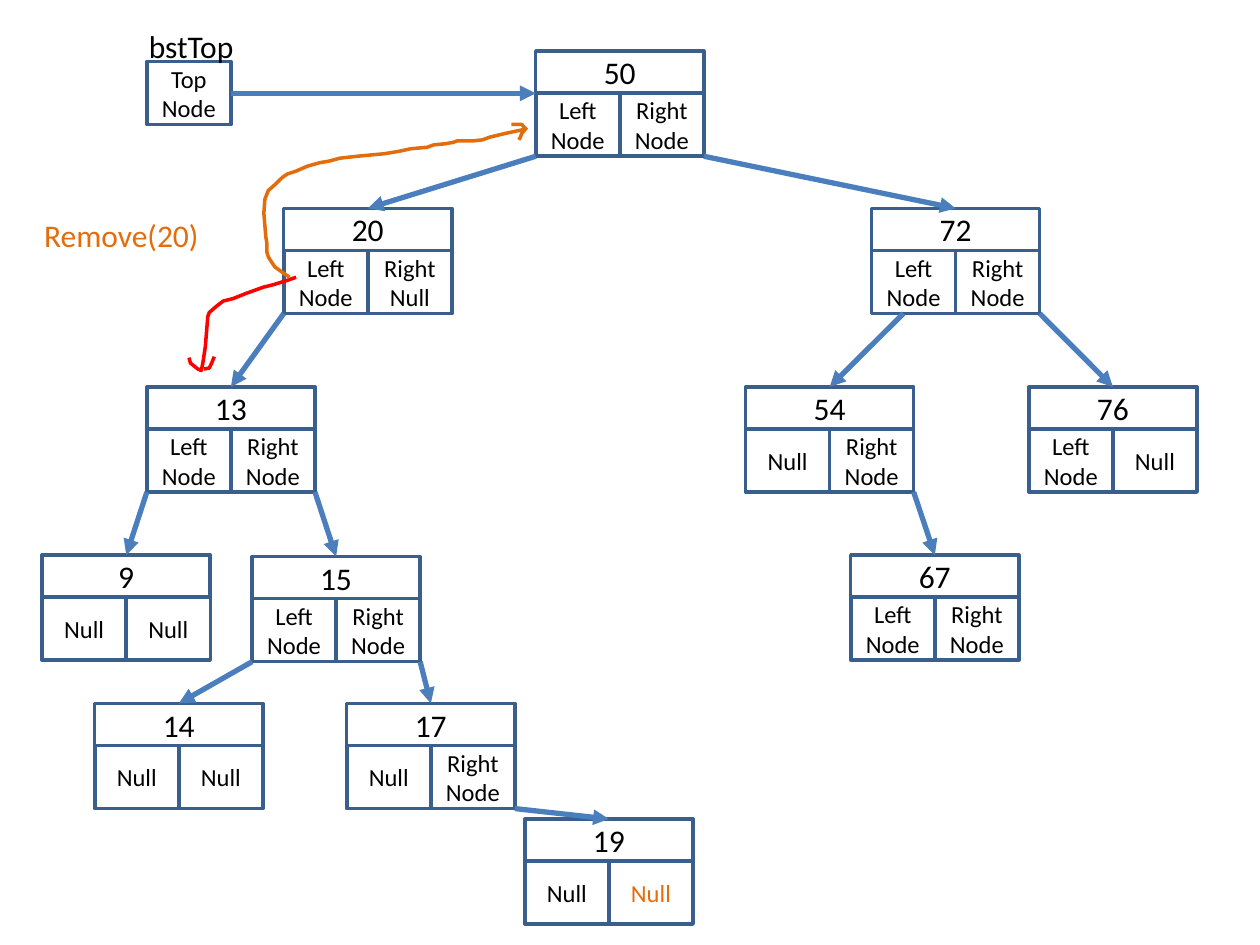
from dataclasses import dataclass

from lxml.etree import SubElement
from pptx import Presentation
from pptx.dml.color import RGBColor
from pptx.enum.shapes import MSO_CONNECTOR, MSO_SHAPE
from pptx.enum.text import MSO_ANCHOR, MSO_AUTO_SIZE, PP_ALIGN
from pptx.oxml.ns import qn
from pptx.util import Cm, Pt

Point = tuple[float, float]


@dataclass(frozen=True)
class Theme:
    """Colours, type and line widths."""
    font: str = "Calibri"
    big: int = 18
    small: int = 14
    ink: str = "000000"
    paper: str = "FFFFFF"
    edge: str = "3A5F8C"
    arrow: str = "4B7EBC"
    orange: str = "E46C0A"
    red: str = "FF0000"
    thin: int = 2
    thick: int = 3


THEME = Theme()
WIDE, HEAD, CELL = 3.39, 0.85, 1.27
HALF = WIDE / 2


@dataclass(frozen=True)
class Node:
    """A tree node: a key above two child cells."""
    key: str
    x: float
    y: float
    left: str = "Left Node"
    right: str = "Right Node"
    tint: str = THEME.ink


@dataclass(frozen=True)
class Link:
    """An arrow from a node's lower corner to a child's top."""
    start: str
    end: str
    shift: float = 0


@dataclass(frozen=True)
class Stroke:
    """A hand-drawn line."""
    color: str
    points: list[Point]


NODES = [
    Node("50", 10.8, 1.03),
    Node("20", 5.72, 4.2, right="Right Null"),
    Node("72", 17.57, 4.2),
    Node("13", 2.96, 7.8),
    Node("54", 15.03, 7.8, left="Null"),
    Node("76", 20.74, 7.8, right="Null"),
    Node("17", 6.99, 14.18, "Null", "Right\nNode"),
    Node("67", 17.15, 11.19),
    Node("9", 0.85, 11.19, "Null", "Null"),
    Node("14", 1.91, 14.18, "Null", "Null"),
    Node("15", 5.08, 11.22, "Left\nNode", "Right\nNode"),
    Node("19", 10.58, 16.51, "Null", "Null", THEME.orange),
]
LINKS = [
    Link("50", "20"), Link("50", "72"), Link("72", "76"), Link("20", "13"),
    Link("72", "54", 0.64), Link("54", "67"), Link("13", "9"),
    Link("15", "17"), Link("15", "14"), Link("17", "19"), Link("13", "15"),
]
STROKES = [
    Stroke(THEME.red, [
        (5.97, 5.59), (5.77, 5.66), (5.51, 5.74), (5.31, 5.79), (4.95, 5.92),
        (4.7, 6.02), (4.5, 6.07), (4.37, 6.17), (4.22, 6.3), (4.19, 6.38),
        (4.14, 6.99), (4.09, 7.32), (4.06, 7.47), (3.99, 7.44), (3.84, 7.32),
        (3.81, 7.21)]),
    Stroke(THEME.red, [(4.11, 7.44), (4.22, 7.42), (4.27, 7.32), (4.32, 7.19)]),
    Stroke(THEME.orange, [
        (5.84, 5.59), (5.72, 5.51), (5.54, 5.38), (5.46, 5.26), (5.41, 5.18),
        (5.38, 5.08), (5.38, 4.9), (5.36, 4.78), (5.32, 4.3), (5.34, 4.02),
        (5.41, 3.84), (5.56, 3.71), (5.69, 3.58), (5.79, 3.51), (5.97, 3.45),
        (6.2, 3.35), (6.45, 3.28), (6.63, 3.25), (6.85, 3.19), (7.21, 3.15),
        (7.75, 3.1), (8.05, 3.05), (8.28, 3), (8.61, 2.97), (8.75, 2.92),
        (8.97, 2.9), (9.14, 2.87), (9.22, 2.84), (9.55, 2.84), (9.73, 2.82),
        (9.86, 2.77), (9.98, 2.74), (10.19, 2.69), (10.52, 2.62),
        (10.59, 2.59), (10.52, 2.51), (10.31, 2.51)]),
    Stroke(THEME.orange, [
        (10.62, 2.57), (10.52, 2.69), (10.49, 2.77), (10.46, 2.82)]),
]


def style(frame, size: int, tint: str, align=PP_ALIGN.CENTER) -> None:
    """Set the type of every paragraph in a frame."""
    for para in frame.paragraphs:
        para.alignment = align
        para.font.name = THEME.font
        para.font.size = Pt(size)
        para.font.color.rgb = RGBColor.from_string(tint)


def ink(line, color: str, width: int) -> None:
    """Set the colour and width of a line."""
    line.color.rgb = RGBColor.from_string(color)
    line.width = Pt(width)


def box(shapes, text: str, x: float, y: float, wide: float, high: float,
        size: int = THEME.small, tint: str = THEME.ink, solid: bool = True) -> None:
    """Draw an outlined box with centred text."""
    shape = shapes.add_shape(MSO_SHAPE.RECTANGLE, Cm(x), Cm(y), Cm(wide), Cm(high))
    shape.shadow.inherit = False
    if solid:
        shape.fill.solid()
        shape.fill.fore_color.rgb = RGBColor.from_string(THEME.paper)
    else:
        shape.fill.background()
    ink(shape.line, THEME.edge, THEME.thin)
    frame = shape.text_frame
    frame.text = text
    frame.word_wrap = True
    frame.vertical_anchor = MSO_ANCHOR.MIDDLE
    style(frame, size, tint)


def label(shapes, text: str, x: float, y: float, wide: float, tint: str) -> None:
    """Write a line of free text."""
    frame = shapes.add_textbox(Cm(x), Cm(y), Cm(wide), Cm(1.03)).text_frame
    frame.text = text
    frame.word_wrap = False
    frame.auto_size = MSO_AUTO_SIZE.SHAPE_TO_FIT_TEXT
    style(frame, THEME.big, tint, PP_ALIGN.LEFT)


def draw(shapes, node: Node) -> None:
    """Draw a node as one group."""
    parts = shapes.add_group_shape().shapes
    low = node.y + HEAD
    box(parts, node.key, node.x, node.y, WIDE, HEAD, THEME.big)
    box(parts, node.right, node.x + HALF, low, HALF, CELL, tint=node.tint)
    box(parts, node.left, node.x, low, HALF, CELL)


def arrow(shapes, start: Point, end: Point) -> None:
    """Draw a straight arrow."""
    line = shapes.add_connector(MSO_CONNECTOR.STRAIGHT, *map(Cm, start + end))
    ink(line.line, THEME.arrow, THEME.thick)
    SubElement(line.line._get_or_add_ln(), qn("a:tailEnd"), type="triangle")
    SubElement(line._element.spPr, qn("a:effectLst"))


def join(shapes, link: Link, nodes: dict[str, Node]) -> None:
    """Join a node to its child on the side where the child lies."""
    top, child = nodes[link.start], nodes[link.end]
    side = WIDE if child.x > top.x else 0
    arrow(shapes, (top.x + side + link.shift, top.y + HEAD + CELL),
          (child.x + HALF, child.y))


def sketch(shapes, stroke: Stroke) -> None:
    """Draw an open hand-drawn line."""
    first, *rest = [(Cm(x), Cm(y)) for x, y in stroke.points]
    pen = shapes.build_freeform(*first)
    pen.add_line_segments(rest, close=False)
    shape = pen.convert_to_shape()
    shape.shadow.inherit = False
    shape.fill.background()
    ink(shape.line, stroke.color, THEME.thin)


def main() -> None:
    """Build the slide and save it."""
    deck = Presentation()
    deck.slide_width, deck.slide_height = Cm(25.4), Cm(19.05)
    shapes = deck.slides.add_slide(deck.slide_layouts[6]).shapes
    box(shapes, "Top\nNode", 2.96, 1.24, HALF, CELL, solid=False)
    label(shapes, "bstTop", 2.75, 0.43, 2.24, THEME.ink)
    for node in NODES:
        draw(shapes, node)
    arrow(shapes, (4.66, 1.88), (10.8, 1.88))
    nodes = {node.key: node for node in NODES}
    for link in LINKS:
        join(shapes, link, nodes)
    label(shapes, "Remove(20)", 0.64, 4.24, 3.66, THEME.orange)
    for stroke in STROKES:
        sketch(shapes, stroke)
    deck.save("out.pptx")


main()
